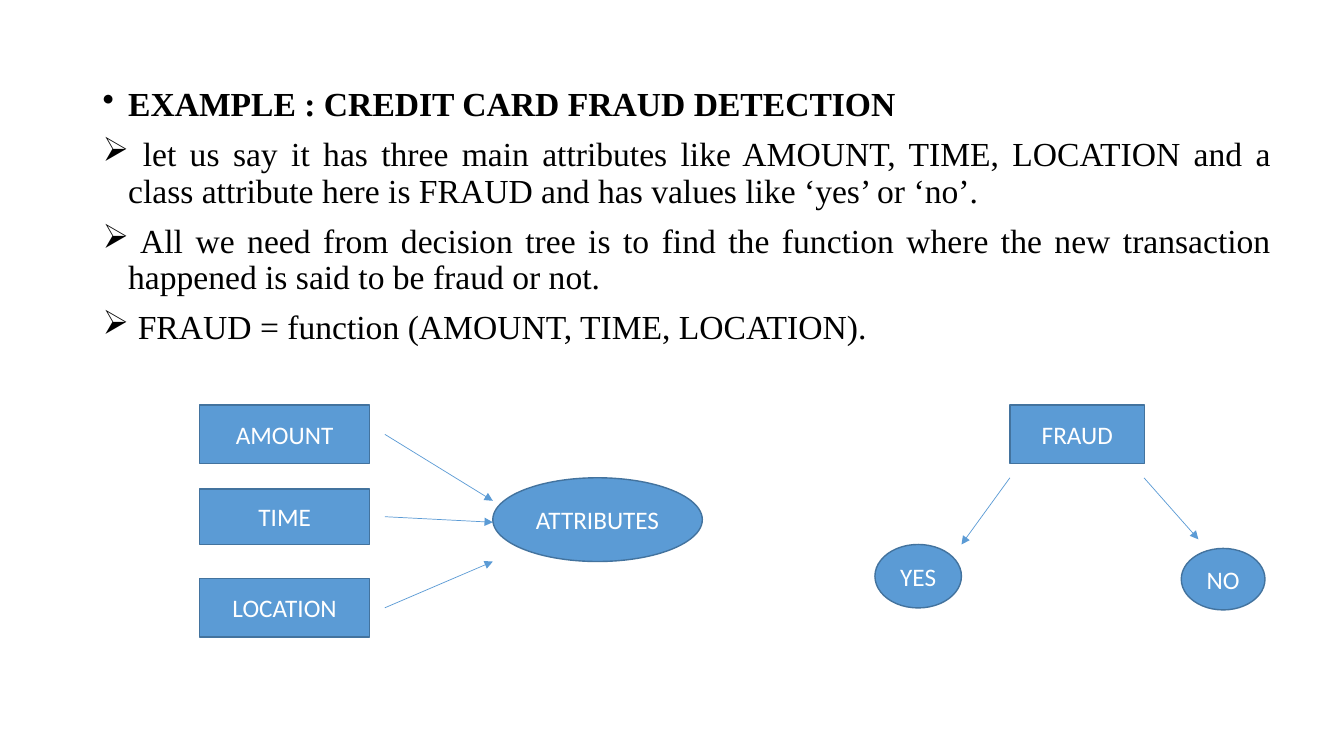
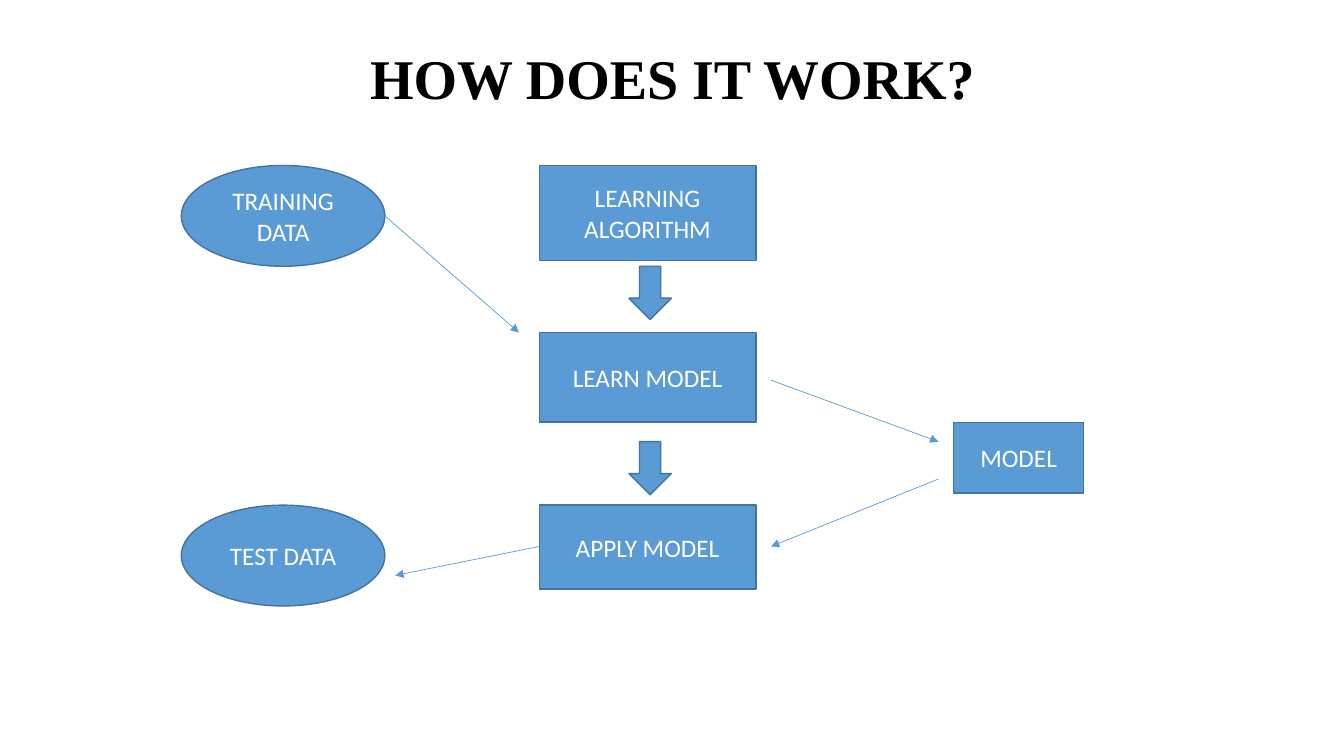
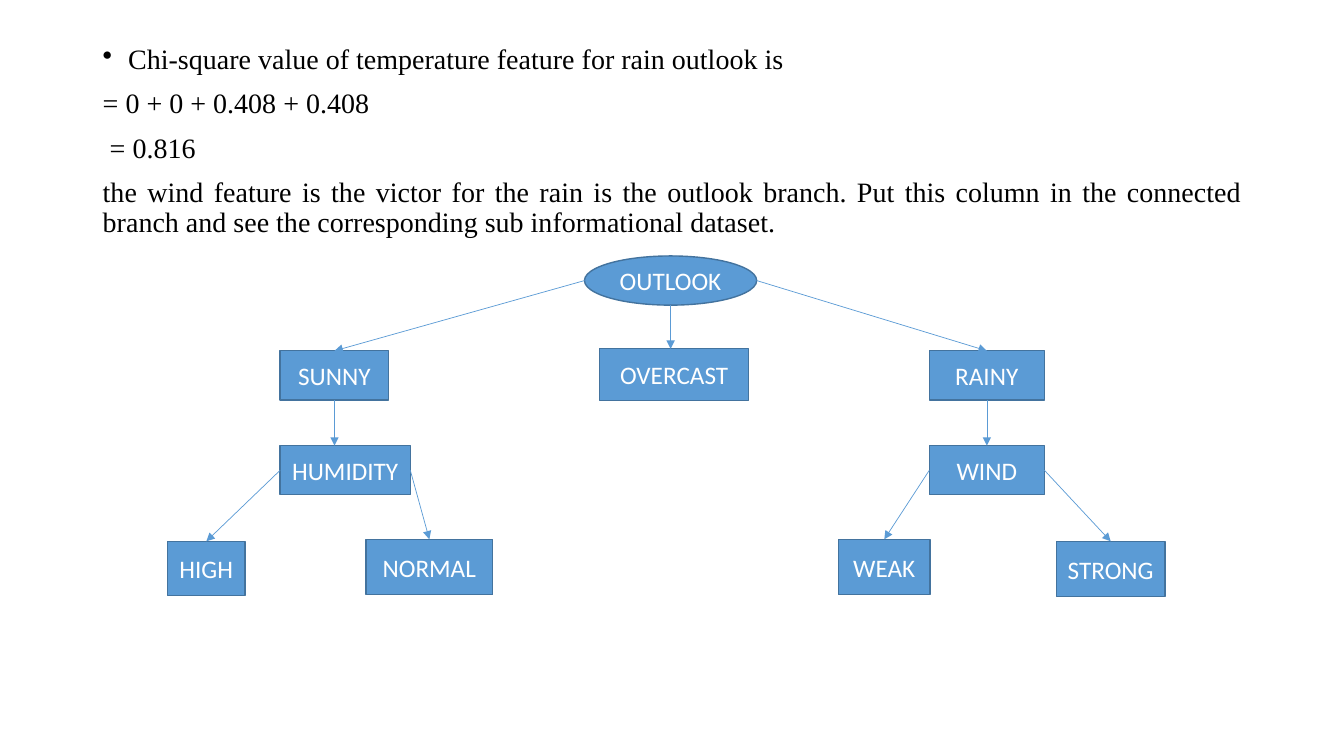
from pptx import Presentation
from pptx.dml.color import RGBColor
from pptx.enum.shapes import MSO_CONNECTOR, MSO_SHAPE
from pptx.enum.text import MSO_ANCHOR, PP_ALIGN
from pptx.oxml.ns import qn
from pptx.oxml.xmlchemy import OxmlElement
from pptx.util import Cm, Pt

HUES = {"fill": "5B9BD5", "edge": "43739E", "text": "000000", "node": "FFFFFF"}
SERIF, SANS = "Times New Roman", "Calibri"
RECT, OVAL, DOWN = MSO_SHAPE.RECTANGLE, MSO_SHAPE.OVAL, MSO_SHAPE.DOWN_ARROW
DOT, ARROW = "•", "➢"
SITES = {"left": 1, "bottom": 2, "right": 3}


def hue(name):
    return RGBColor.from_string(HUES[name])


def style(para, face, size, tint, bold=False):
    for run in para.runs:
        run.font.name, run.font.size, run.font.bold = face, Pt(size), bold
        run.font.color.rgb = hue(tint)


# Text blocks
def frame(slide, box):
    text = slide.shapes.add_textbox(*map(Cm, box)).text_frame
    text.word_wrap = True
    return text


def title(slide, words):
    text = frame(slide, (2.34, 1.02, 29.21, 2.08))
    text.vertical_anchor = MSO_ANCHOR.MIDDLE
    text.text = words
    para = text.paragraphs[0]
    para.alignment, para.line_spacing = PP_ALIGN.CENTER, 0.9
    style(para, SERIF, 40, "text", True)


def bullet(para, mark):
    props = para._p.get_or_add_pPr()
    props.set("marL", str(Cm(0.64)))
    props.set("indent", str(-Cm(0.64)))
    char = OxmlElement("a:buChar")
    char.set("char", mark)
    props.append(char)


def body(slide, box, size, items):
    text = frame(slide, box)
    text.text = "\n".join(words for words, mark, bold in items)
    for para, (words, mark, bold) in zip(text.paragraphs, items):
        para.alignment = PP_ALIGN.JUSTIFY
        para.line_spacing, para.space_before = 0.9, Pt(10)
        if mark:
            bullet(para, mark)
        style(para, SERIF, size, "text", bold)


# Diagram parts
def node(slide, words, box, kind=RECT):
    shape = slide.shapes.add_shape(kind, *map(Cm, box))
    shape.shadow.inherit = False
    shape.fill.solid()
    shape.fill.fore_color.rgb = hue("fill")
    shape.line.color.rgb = hue("edge")
    shape.line.width = Pt(1)
    if words:
        text = shape.text_frame
        text.word_wrap = True
        text.vertical_anchor = MSO_ANCHOR.MIDDLE
        text.text = words
        text.paragraphs[0].alignment = PP_ALIGN.CENTER
        style(text.paragraphs[0], SANS, 18, "node")
    return shape


def arrow(slide, *ends):
    line = slide.shapes.add_connector(MSO_CONNECTOR.STRAIGHT, *ends)
    line.line.color.rgb = hue("fill")
    line.line.width = Pt(0.5)
    props = line._element.spPr
    tip = OxmlElement("a:tailEnd")
    tip.set("type", "triangle")
    props.find(qn("a:ln")).append(tip)
    props.append(OxmlElement("a:effectLst"))
    return line


def arrows(slide, rows):
    for row in rows:
        arrow(slide, *map(Cm, row))


def link(slide, top, side, kid):
    mid = top.left + top.width // 2
    if side == "bottom":
        arrow(slide, mid, top.top + top.height, mid, kid.top)
        return
    start = top.left if side == "left" else top.left + top.width
    line = arrow(slide, start, top.top + top.height // 2,
                 kid.left + kid.width // 2, kid.top)
    if top.auto_shape_type == RECT:
        line.begin_connect(top, SITES[side])
    line.end_connect(kid, 0)


# Slides
def fraud(slide):
    body(slide, (2.34, 2.08, 29.95, 15.09), 24, [
        ("EXAMPLE : CREDIT CARD FRAUD DETECTION", DOT, True),
        (" let us say it has three main attributes like AMOUNT, TIME, LOCATION "
         "and a class attribute here is FRAUD and has values like ‘yes’ or ‘no’.",
         ARROW, False),
        (" All we need from decision tree is to find the function where the new "
         "transaction happened is said to be fraud or not.", ARROW, False),
        (" FRAUD = function (AMOUNT, TIME, LOCATION).", ARROW, False),
    ])
    for words, y, high, end in [("AMOUNT", 10.21, 1.47, 12.62),
                                ("TIME", 12.32, 1.4, 13.16),
                                ("LOCATION", 14.58, 1.47, 14.15)]:
        node(slide, words, (5.03, y, 4.29, high))
        arrows(slide, [(9.7, y + high / 2, 12.42, end)])
    node(slide, "ATTRIBUTES", (12.42, 12.04, 5.28, 2.11), OVAL)
    node(slide, "FRAUD", (25.45, 10.21, 3.4, 1.47))
    node(slide, "YES", (22.05, 13.72, 2.18, 1.6), OVAL)
    node(slide, "NO", (29.77, 13.82, 2.11, 1.55), OVAL)
    arrows(slide, [(25.45, 12.04, 24.23, 13.72), (28.83, 12.04, 30.2, 13.59)])


def work(slide):
    title(slide, "HOW DOES IT WORK?")
    for words, y in [("TRAINING DATA", 4.17), ("TEST DATA", 12.73)]:
        node(slide, words, (4.57, y, 5.13, 2.54), OVAL)
    for words, y, high in [("LEARNING ALGORITHM", 4.17, 2.39),
                           ("LEARN MODEL", 8.38, 2.26),
                           ("APPLY MODEL", 12.73, 2.11)]:
        node(slide, words, (13.59, y, 5.46, high))
    node(slide, "MODEL", (24.03, 10.64, 3.28, 1.78))
    for y in (6.71, 11.13):
        node(slide, "", (15.85, y, 1.07, 1.34), DOWN)
    arrows(slide, [(9.7, 5.44, 13.08, 8.38), (13.59, 13.77, 9.96, 14.5),
                   (19.43, 9.58, 23.65, 11.13), (23.65, 12.07, 19.43, 13.77)])


def tree(slide):
    body(slide, (2.34, 1.02, 29.21, 16.15), 20, [
        ("Chi-square value of temperature feature for rain outlook is", DOT, False),
        ("= 0 + 0 + 0.408 + 0.408", None, False),
        (" = 0.816", None, False),
        ("the wind feature is the victor for the rain is the outlook branch. Put "
         "this column in the connected branch and see the corresponding sub "
         "informational dataset.", None, False),
    ])
    nodes = {"OUTLOOK": node(slide, "OUTLOOK", (14.73, 6.45, 4.34, 1.24), OVAL)}
    # Each row: label, box, parent, side of the parent
    for words, box, top, side in [
        ("SUNNY", (7.06, 8.84, 2.74, 1.24), "OUTLOOK", "left"),
        ("OVERCAST", (15.11, 8.79, 3.76, 1.3), "OUTLOOK", "bottom"),
        ("RAINY", (23.42, 8.84, 2.9, 1.24), "OUTLOOK", "right"),
        ("HUMIDITY", (7.06, 11.23, 3.28, 1.24), "SUNNY", "bottom"),
        ("HIGH", (4.22, 13.64, 1.96, 1.37), "HUMIDITY", "left"),
        ("NORMAL", (9.22, 13.59, 3.2, 1.4), "HUMIDITY", "right"),
        ("WIND", (23.42, 11.23, 2.9, 1.24), "RAINY", "bottom"),
        ("WEAK", (21.13, 13.59, 2.31, 1.4), "WIND", "left"),
        ("STRONG", (26.62, 13.64, 2.74, 1.4), "WIND", "right"),
    ]:
        nodes[words] = node(slide, words, box)
        link(slide, nodes[top], side, nodes[words])


def main():
    deck = Presentation()
    deck.slide_width, deck.slide_height = Cm(33.87), Cm(19.05)
    for draw in (fraud, work, tree):
        draw(deck.slides.add_slide(deck.slide_layouts[6]))
    deck.save("out.pptx")


if __name__ == "__main__":
    main()
